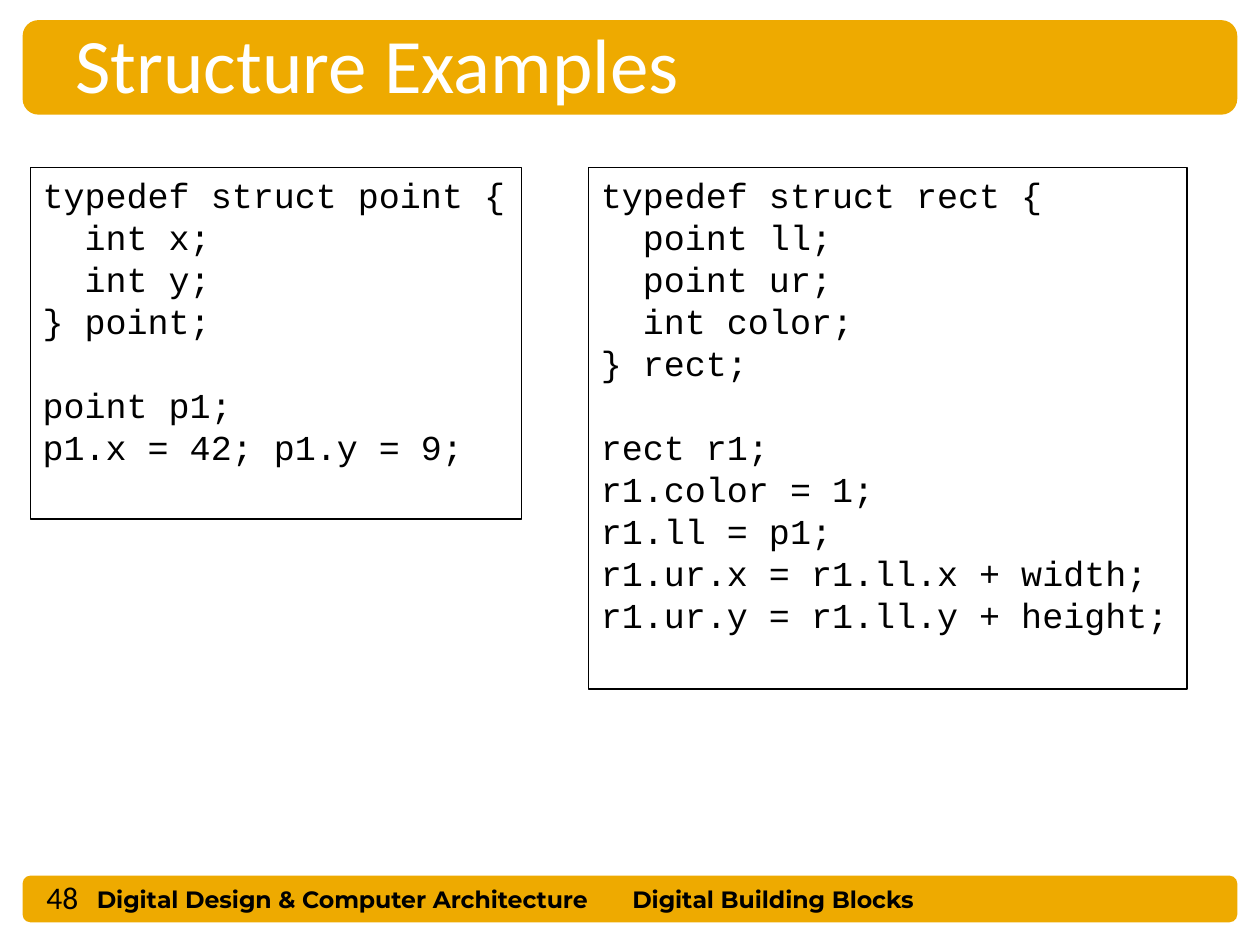
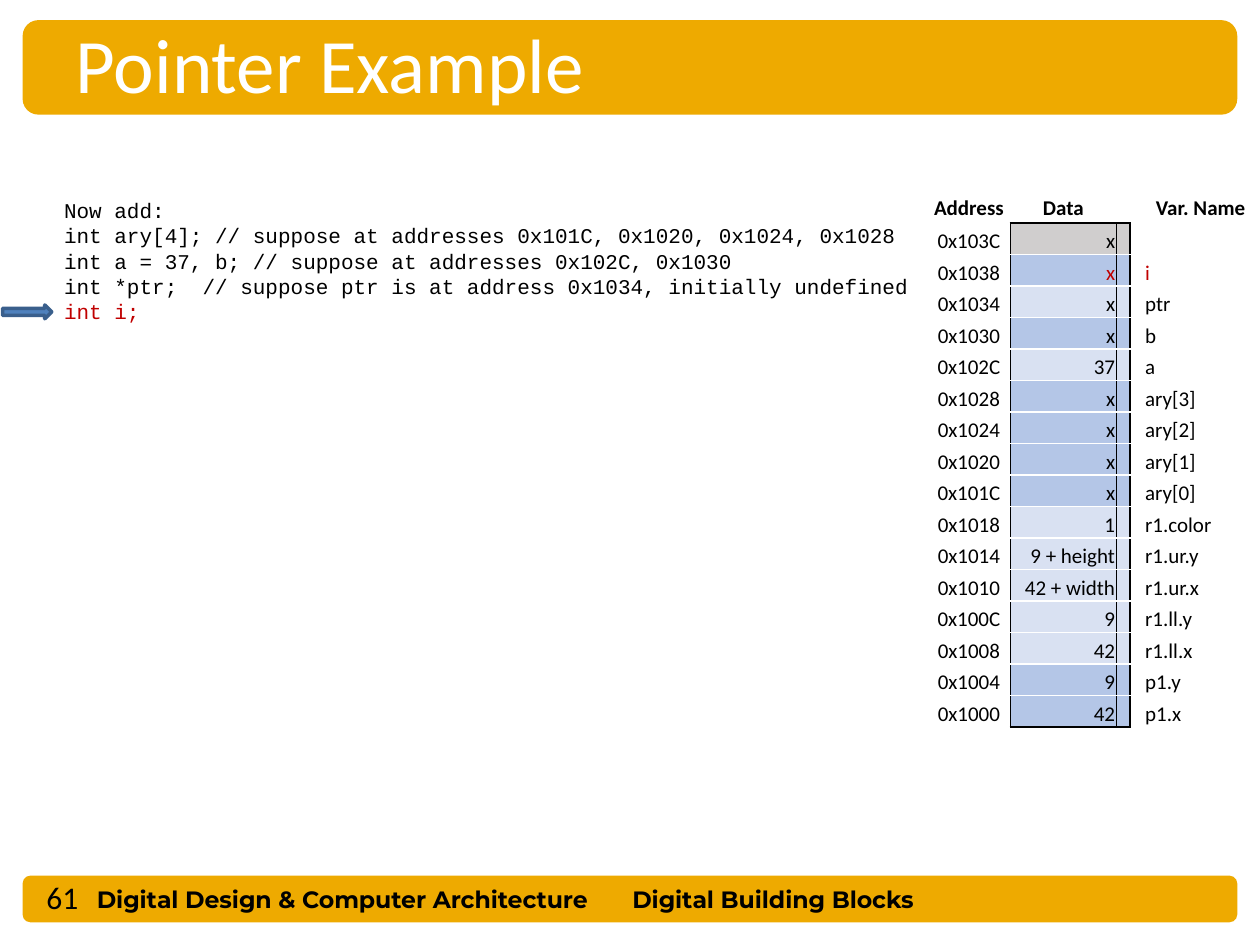
import pptx
import pptx.util
import pptx.dml.color
import pptx.enum.shapes
import pptx.enum.text
import pptx.oxml.ns
from lxml import etree

Inches, Pt = pptx.util.Inches, pptx.util.Pt
SHAPE = pptx.enum.shapes.MSO_SHAPE
ALIGN = pptx.enum.text.PP_ALIGN
ANCHOR = pptx.enum.text.MSO_ANCHOR
qn = pptx.oxml.ns.qn

GOLD, BLACK, WHITE, RED = "EEAA00", "000000", "FFFFFF", "C00000"
GREY, BLUE, PALE = "D0CECE", "B4C6E7", "D9E1F2"


def rgb(color):
    return pptx.dml.color.RGBColor.from_string(color)


def write(tf, lines, size, font="Calibri", color=BLACK, bold=False, leading=None):
    """Fill a text frame with one paragraph per line, in one style."""
    tf.text = "\n".join(lines)
    for p in tf.paragraphs:
        p.alignment = ALIGN.LEFT
        if leading:
            p.line_spacing = Pt(leading)
        for r in p.runs:
            r.font.name, r.font.size, r.font.bold = font, Pt(size), bold
            r.font.color.rgb = rgb(color)


prs = pptx.Presentation()
prs.slide_width, prs.slide_height = Inches(10), Inches(7.5)

# Bands, title, footer and number of every slide
slides = []
for title, number in [("Structure Examples", "48"), ("Pointer Example", "61")]:
    s = prs.slides.add_slide(prs.slide_layouts[5])
    for top, height in [(6.95, 0.37), (0.16, 0.75)]:
        band = s.shapes.add_shape(SHAPE.ROUNDED_RECTANGLE, Inches(0.18), Inches(top),
                                  Inches(9.64), Inches(height))
        band.shadow.inherit = False
        band.fill.solid()
        band.fill.fore_color.rgb = rgb(GOLD)
        band.line.fill.background()

    head = s.shapes.title
    head.left, head.top = Inches(0.5), Inches(0.08)
    head.width, head.height = Inches(8.67), Inches(0.84)
    write(head.text_frame, [title], 44, color=WHITE)
    head.text_frame.vertical_anchor = ANCHOR.MIDDLE
    head.element.getparent().append(head.element)  # in front of the bands

    for text, left, top, width, height, size, font, bold in [
        ("Digital Design & Computer Architecture", 0.67, 6.97, 4.44, 0.33, 13.5, "Montserrat", True),
        ("Digital Building Blocks", 4.92, 6.97, 2.94, 0.33, 13.5, "Montserrat", True),
        (number, 0.27, 6.92, 0.82, 0.39, 18, "Calibri", False),
    ]:
        tf = s.shapes.add_textbox(Inches(left), Inches(top), Inches(width), Inches(height)).text_frame
        tf.word_wrap = True
        tf.vertical_anchor = ANCHOR.MIDDLE
        write(tf, [text], size, font, bold=bold)
    slides.append(s)

# Structure Examples: a definition, a gap, then its use
s = slides[0]
point_code = (["typedef struct point {", "  int x;", "  int y;", "} point;"],
              ["point p1;", "p1.x = 42; p1.y = 9;"])
rect_code = (["typedef struct rect {", "  point ll;", "  point ur;", "  int color;", "} rect;"],
             ["rect r1;", "r1.color = 1;", "r1.ll = p1;",
              "r1.ur.x = r1.ll.x + width;", "r1.ur.y = r1.ll.y + height;"])
for (definition, usage), left, width, height in [(point_code, 0.24, 3.9, 2.79),
                                                  (rect_code, 4.67, 4.75, 4.14)]:
    sp = s.shapes.add_shape(SHAPE.RECTANGLE, Inches(left), Inches(1.33), Inches(width), Inches(height))
    sp.shadow.inherit = False
    sp.fill.background()
    sp.line.color.rgb = rgb(BLACK)
    sp.line.width = Pt(0.75)
    tf = sp.text_frame
    tf.word_wrap = False
    tf.vertical_anchor = ANCHOR.TOP
    write(tf, definition + usage, 20, "Courier New", leading=24)
    tf.paragraphs[len(definition)].space_before = Pt(24)

# Pointer Example: code with the current line marked
s = slides[1]
tf = s.shapes.add_textbox(Inches(0.41), Inches(1.52), Inches(6.95), Inches(1.11)).text_frame
tf.word_wrap = True
write(tf, ["Now add:",
           "int ary[4]; // suppose at addresses 0x101C, 0x1020, 0x1024, 0x1028",
           "int a = 37, b; // suppose at addresses 0x102C, 0x1030",
           "int *ptr;  // suppose ptr is at address 0x1034, initially undefined",
           "int i;"], 12, "Courier New", leading=14.4)
tf.paragraphs[-1].runs[0].font.color.rgb = rgb(RED)

arrow = s.shapes.add_shape(SHAPE.RIGHT_ARROW, Inches(0.02), Inches(2.42), Inches(0.39), Inches(0.11))
arrow.shadow.inherit = False
arrow.fill.solid()
arrow.fill.fore_color.rgb = rgb("4F81BD")
arrow.line.color.rgb = rgb("3A5F8C")
arrow.line.width = Pt(2)

# Memory map, one word per row from the highest address down
memory = [("x", "", GREY), ("x", "i", BLUE), ("x", "ptr", PALE), ("x", "b", BLUE), ("37", "a", PALE),
          ("x", "ary[3]", BLUE), ("x", "ary[2]", BLUE), ("x", "ary[1]", BLUE), ("x", "ary[0]", BLUE),
          ("1", "r1.color", PALE), ("9 + height", "r1.ur.y", PALE), ("42 + width", "r1.ur.x", PALE),
          ("9", "r1.ll.y", PALE), ("42", "r1.ll.x", PALE), ("9", "p1.y", BLUE), ("42", "p1.x", BLUE)]
rows = [("Address", "Data", "", "", "Var. Name")]
for i, (data, name, _) in enumerate(memory):
    rows.append((f"0x{0x103C - 4 * i:X}", data, "", "", name))
aligns = [ALIGN.CENTER, ALIGN.RIGHT, ALIGN.LEFT, ALIGN.LEFT, ALIGN.LEFT]

table = s.shapes.add_table(len(rows), 5, Inches(7.36), Inches(1.52), Inches(2.62), Inches(4.25)).table
table.first_row = table.horz_banding = False
style = next(table._tbl.iter(qn("a:tableStyleId")))
style.text = "{2D5ABB26-0587-4C30-8999-92F81FD0307C}"  # no style, no grid
for column, width in zip(table.columns, [0.66, 0.84, 0.11, 0.11, 0.9]):
    column.width = Inches(width)

for i, row in enumerate(rows):
    table.rows[i].height = Inches(0.25)
    for j, text in enumerate(row):
        cell = table.cell(i, j)
        cell.margin_left = cell.margin_top = cell.margin_right = Inches(0.01)
        cell.margin_bottom = 0
        cell.vertical_anchor = ANCHOR.BOTTOM if i else ANCHOR.MIDDLE
        red = i > 0 and memory[i - 1][1] == "i" and j > 0
        write(cell.text_frame, [text], 12, color=RED if red else BLACK, bold=i == 0)
        p = cell.text_frame.paragraphs[0]
        p.alignment = aligns[j] if i else ALIGN.CENTER
        if not text:
            etree.SubElement(p._p, qn("a:endParaRPr"), sz="1200")
        if i == 0 or j not in (1, 2):
            continue
        edges = {"a:lnL" if j == 1 else "a:lnR": BLACK,
                 "a:lnT": BLACK if i == 1 else WHITE,
                 "a:lnB": BLACK if i == len(memory) else WHITE}
        for tag, color in edges.items():
            ln = etree.SubElement(cell._tc.get_or_add_tcPr(), qn(tag), w="12700")
            etree.SubElement(etree.SubElement(ln, qn("a:solidFill")), qn("a:srgbClr"), val=color)
        cell.fill.solid()
        cell.fill.fore_color.rgb = rgb(memory[i - 1][2])

prs.save("out.pptx")
